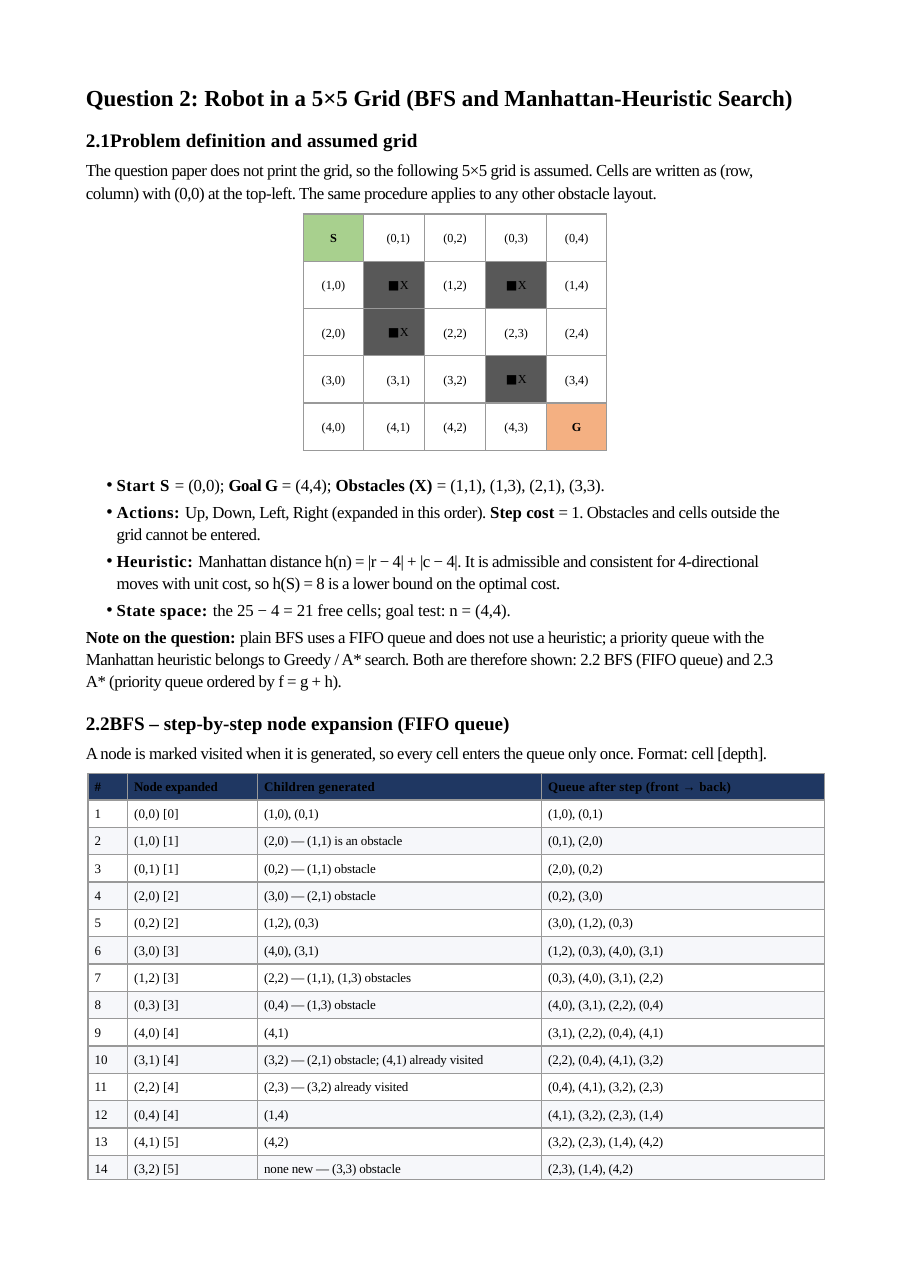
from dataclasses import dataclass

from lxml.etree import SubElement
from pptx import Presentation
from pptx.dml.color import RGBColor
from pptx.enum.text import MSO_ANCHOR as Anchor
from pptx.enum.text import MSO_AUTO_SIZE as AutoSize
from pptx.enum.text import PP_ALIGN as Align
from pptx.oxml.ns import qn
from pptx.util import Cm, Pt

COLOURS = {
    "text": "000000", "border": "999999", "start": "A8D08E", "goal": "F4B082",
    "obstacle": "585858", "header": "1F3762", "band": "F6F7FA",
}
SERIF = "Times New Roman"
TEXT_LEFT, TEXT_WIDTH = 1.98, 16.26
GRID_SIZE = 5
OBSTACLES = {(1, 1), (1, 3), (2, 1), (3, 3)}


@dataclass
class Piece:
    text: str
    bold: bool = False
    tracking: float = -0.3
    font: str = SERIF


@dataclass
class Block:
    pieces: list[Piece]
    size: float = 11
    line: float = 14.6
    before: float = 0
    bullet: bool = False
    align: Align = Align.LEFT


@dataclass
class Step:
    node: str
    children: str
    queue: str


def heading(text: str, tracking: float, before: float = 0) -> Block:
    return Block([Piece(text, True, tracking)], 12.5, 13.9, before)


def label(text: str) -> Piece:
    return Piece(text, True, 0.3)


TITLE = [Block([Piece("Question 2: Robot in a 5×5 Grid (BFS and Manhattan-Heuristic Search)",
                      True, 0)], 15, 16.6)]
INTRODUCTION = [
    heading("2.1Problem definition and assumed grid", 0.1),
    Block([Piece("The question paper does not print the grid, so the following 5×5 grid is "
                 "assumed. Cells are written as (row, column) with (0,0) at the top-left. "
                 "The same procedure applies to any other obstacle layout.")], before=4.1),
]
DEFINITIONS = [
    [label("Start S "), Piece("= (0,0); ", tracking=-0.1), Piece("Goal G ", True),
     Piece("= (4,4); ", tracking=-0.1), Piece("Obstacles (X) ", True, 0),
     Piece("= (1,1), (1,3), (2,1), (3,3).", tracking=-0.1)],
    [label("Actions: "), Piece("Up, Down, Left, Right (expanded in this order). "),
     Piece("Step cost ", True, 0),
     Piece("= 1. Obstacles and cells outside the grid cannot be entered.")],
    [label("Heuristic: "),
     Piece("Manhattan distance h(n) = |r − 4| + |c − 4|. It is admissible and consistent for "
           "4-directional moves with unit cost, so h(S) = 8 is a lower bound on the "
           "optimal cost.")],
    [label("State space: "),
     Piece("the 25 − 4 = 21 free cells; goal test: n = (4,4).", tracking=-0.1)],
]
DEFINITION_LIST = [Block(pieces, before=2.9 if index else 0, bullet=True)
                   for index, pieces in enumerate(DEFINITIONS)]
NOTE = [
    Block([Piece("Note on the question: ", True, -0.1),
           Piece("plain BFS uses a FIFO queue and does not use a heuristic; a priority queue "
                 "with the Manhattan heuristic belongs to Greedy / A* search. Both are "
                 "therefore shown: 2.2 BFS (FIFO queue) and 2.3 A* (priority queue ordered "
                 "by f = g + h).")]),
    heading("2.2BFS – step-by-step node expansion (FIFO queue)", 0, 14.4),
    Block([Piece("A node is marked visited when it is generated, so every cell enters the "
                 "queue only once. Format: cell [depth].")], before=4.1),
]
TRACE_HEADER = ["#", "Node expanded", "Children generated", "Queue after step (front → back)"]
STEPS = [
    Step("(0,0) [0]", "(1,0), (0,1)", "(1,0), (0,1)"),
    Step("(1,0) [1]", "(2,0) — (1,1) is an obstacle", "(0,1), (2,0)"),
    Step("(0,1) [1]", "(0,2) — (1,1) obstacle", "(2,0), (0,2)"),
    Step("(2,0) [2]", "(3,0) — (2,1) obstacle", "(0,2), (3,0)"),
    Step("(0,2) [2]", "(1,2), (0,3)", "(3,0), (1,2), (0,3)"),
    Step("(3,0) [3]", "(4,0), (3,1)", "(1,2), (0,3), (4,0), (3,1)"),
    Step("(1,2) [3]", "(2,2) — (1,1), (1,3) obstacles", "(0,3), (4,0), (3,1), (2,2)"),
    Step("(0,3) [3]", "(0,4) — (1,3) obstacle", "(4,0), (3,1), (2,2), (0,4)"),
    Step("(4,0) [4]", "(4,1)", "(3,1), (2,2), (0,4), (4,1)"),
    Step("(3,1) [4]", "(3,2) — (2,1) obstacle; (4,1) already visited",
         "(2,2), (0,4), (4,1), (3,2)"),
    Step("(2,2) [4]", "(2,3) — (3,2) already visited", "(0,4), (4,1), (3,2), (2,3)"),
    Step("(0,4) [4]", "(1,4)", "(4,1), (3,2), (2,3), (1,4)"),
    Step("(4,1) [5]", "(4,2)", "(3,2), (2,3), (1,4), (4,2)"),
    Step("(3,2) [5]", "none new — (3,3) obstacle", "(2,3), (1,4), (4,2)"),
]


def write_paragraph(paragraph, block: Block) -> None:
    if block.bullet:
        properties = paragraph._p.get_or_add_pPr()
        properties.set("marL", str(Cm(0.71)))
        properties.set("indent", str(-Cm(0.23)))
        SubElement(properties, qn("a:buChar")).set("char", "•")
    paragraph.alignment = block.align
    paragraph.line_spacing = Pt(block.line)
    paragraph.space_before = Pt(block.before)
    for piece in block.pieces:
        run = paragraph.add_run()
        run.text = piece.text
        run.font.name = piece.font
        run.font.size = Pt(block.size)
        run.font.bold = piece.bold
        run.font.color.rgb = RGBColor.from_string(COLOURS["text"])
        run._r.get_or_add_rPr().set("spc", str(round(piece.tracking * 100)))


def fill_text_shape(shape, top: float, height: float, blocks: list[Block],
                    width: float = TEXT_WIDTH) -> None:
    shape.left, shape.top = Cm(TEXT_LEFT), Cm(top)
    shape.width, shape.height = Cm(width), Cm(height)
    frame = shape.text_frame
    frame.word_wrap = True
    frame.auto_size = AutoSize.NONE
    frame.vertical_anchor = Anchor.TOP
    frame.margin_left = frame.margin_right = frame.margin_top = frame.margin_bottom = 0
    for index, block in enumerate(blocks):
        write_paragraph(frame.add_paragraph() if index else frame.paragraphs[0], block)


def add_plain_table(slide, left: float, top: float, widths: list[float], heights: list[float]):
    """Add a table without banding, sized by its columns and rows in centimetres."""
    table = slide.shapes.add_table(len(heights), len(widths), Cm(left), Cm(top),
                                   Cm(sum(widths)), Cm(sum(heights))).table
    table.first_row = table.horz_banding = False
    for column, width in zip(table.columns, widths):
        column.width = Cm(width)
    for row, height in zip(table.rows, heights):
        row.height = Cm(height)
    return table


def write_cell(cell, block: Block, fill: str | None, left: float, top: float) -> None:
    cell.margin_left, cell.margin_top = Cm(left), Cm(top)
    cell.margin_right = cell.margin_bottom = 0
    properties = cell._tc.get_or_add_tcPr()
    for side in ("a:lnL", "a:lnR", "a:lnT", "a:lnB"):
        border = SubElement(properties, qn(side), w=str(Pt(1)))
        solid = SubElement(border, qn("a:solidFill"))
        SubElement(solid, qn("a:srgbClr"), val=COLOURS["border"])
    if fill:
        cell.fill.solid()
        cell.fill.fore_color.rgb = RGBColor.from_string(COLOURS[fill])
    else:
        cell.fill.background()
    write_paragraph(cell.text_frame.paragraphs[0], block)


def add_robot_grid(slide) -> None:
    table = add_plain_table(slide, 7.0, 4.93, [1.38, 1.41, 1.41, 1.41, 1.38],
                            [1.09] * GRID_SIZE)
    last = GRID_SIZE - 1
    for row in range(GRID_SIZE):
        for column in range(GRID_SIZE):
            pieces, fill = [Piece(f"({row},{column})", tracking=0)], None
            if (row, column) == (0, 0):
                pieces, fill = [Piece("S", True, 0)], "start"
            elif (row, column) == (last, last):
                pieces, fill = [Piece("G", True, -0.2)], "goal"
            elif (row, column) in OBSTACLES:
                pieces = [Piece("■", tracking=0.2, font="Calibri"), Piece("X", tracking=-0.2)]
                fill = "obstacle"
            write_cell(table.cell(row, column), Block(pieces, 8, 10, align=Align.CENTER),
                       fill, 0.2 if column == 1 else 0, 0.37)


def add_search_trace(slide) -> None:
    heights = [0.61] + [0.63] * (len(STEPS) - 1) + [0.56]
    table = add_plain_table(slide, 2.03, 17.83, [0.91, 3.0, 6.55, 6.53], heights)
    rows = [TRACE_HEADER] + [[str(number), step.node, step.children, step.queue]
                             for number, step in enumerate(STEPS, 1)]
    for row, texts in enumerate(rows):
        is_header = row == 0
        fill = "header" if is_header else "band" if row % 2 == 0 else None
        trackings = (-0.2, -0.1, 0.1, 0.1) if is_header else (0, 0.1, -0.1, -0.1)
        for column, (text, tracking) in enumerate(zip(texts, trackings)):
            block = Block([Piece(text, is_header, tracking)], 8.5, 10.5)
            write_cell(table.cell(row, column), block, fill, 0.15, 0.12)


def main() -> None:
    presentation = Presentation()
    presentation.slide_width, presentation.slide_height = Cm(21.03), Cm(29.69)
    slide = presentation.slides.add_slide(presentation.slide_layouts[1])
    fill_text_shape(slide.shapes.title, 1.98, 0.59, TITLE, 17)
    fill_text_shape(slide.placeholders[1], 10.89, 3.4, DEFINITION_LIST)
    for top, height, blocks in ((3.01, 1.67, INTRODUCTION), (14.39, 3.2, NOTE)):
        text_box = slide.shapes.add_textbox(0, 0, 0, 0)
        fill_text_shape(text_box, top, height, blocks)
    add_robot_grid(slide)
    add_search_trace(slide)
    presentation.save("out.pptx")


if __name__ == "__main__":
    main()
